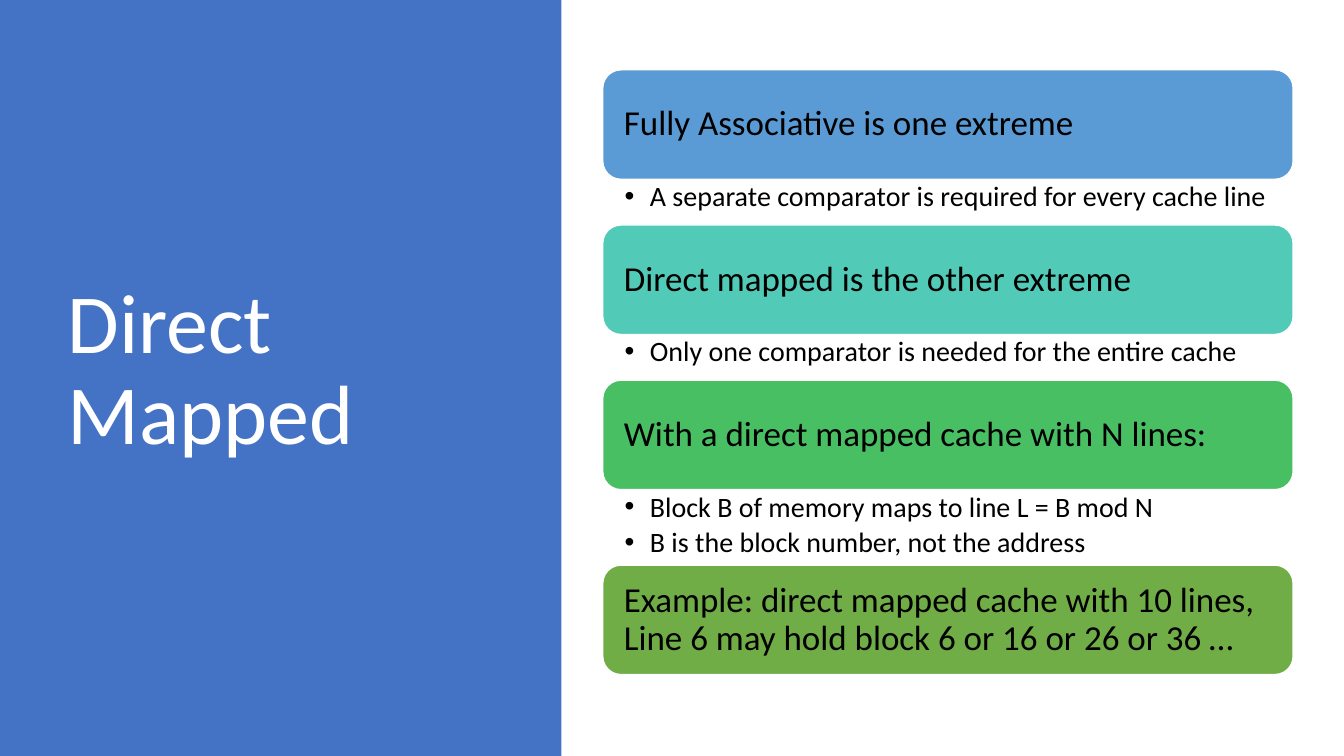
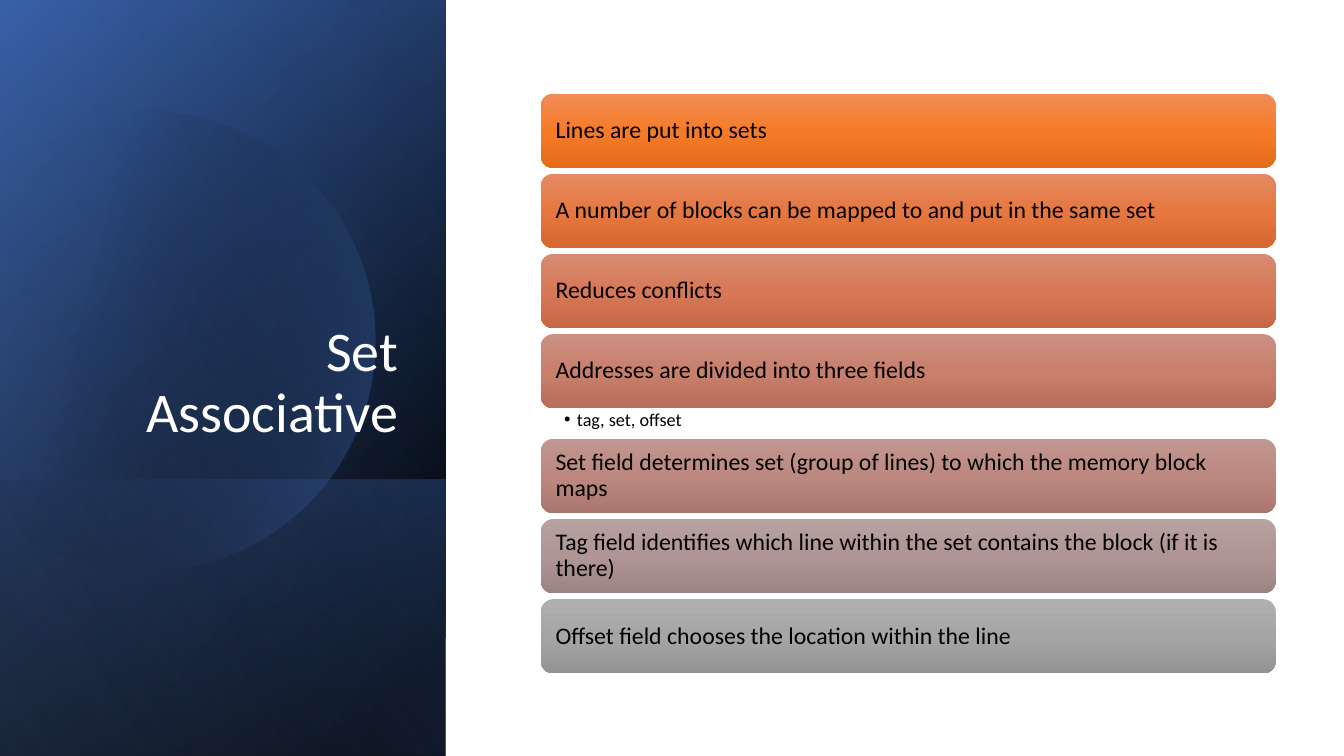
from math import acos, cos, sin
from lxml.etree import SubElement
from pptx import Presentation
from pptx.dml.color import RGBColor
from pptx.enum.shapes import MSO_SHAPE
from pptx.enum.text import MSO_ANCHOR, MSO_AUTO_SIZE, PP_ALIGN
from pptx.oxml.ns import qn
from pptx.util import Cm, Pt

FONT = "Calibri"
HEX = {
    "white": "FFFFFF", "black": "000000",
    "blue": "4472C4", "navy": "2F5597", "pale": "8FAADC",
    "sky": "5B9BD5", "teal": "52CAB8", "green": "49BF64", "leaf": "70AD47",
    # Bar ramps: top, middle, bottom
    "flame": "F18C57 F67B28 E56C19", "rust": "E38A63 E6783F D56730",
    "clay": "D78B72 D77856 C66846", "brick": "CB9082 C87F6C B76E5B",
    "rose": "C19791 BC887F AA776E", "mauve": "B7A2A0 AF9593 9D8381",
    "gray": "AFAFAF A5A5A5 939393",
}
WIDE, HIGH = 33.87, 19.05


def paint(shape, stops, angle=90, edge=None):
    """Fill with stops of (position %, hex, opacity %); one stop is solid."""
    shape.shadow.inherit = False
    if edge:
        shape.line.color.rgb = RGBColor.from_string(edge)
        shape.line.width = Pt(1)
    else:
        shape.line.fill.background()
    if len(stops) == 1:
        shape.fill.solid()
        shape.fill.fore_color.rgb = RGBColor.from_string(stops[0][1])
        return
    shape.fill.gradient()
    shape.fill.gradient_angle = 360 - angle
    ramp = shape._element.spPr.find(qn("a:gradFill")).find(qn("a:gsLst"))
    for old in list(ramp):
        ramp.remove(old)
    for pos, tone, alpha in stops:
        stop = SubElement(ramp, qn("a:gs"), pos=str(pos * 1000))
        color = SubElement(stop, qn("a:srgbClr"), val=tone)
        if alpha < 100:
            SubElement(color, qn("a:alpha"), val=str(alpha * 1000))


def write(shape, lines, size, pads, anchor, indent=0):
    """Set the lines of a box; an indent makes them bullets."""
    frame = shape.text_frame
    frame.word_wrap = True
    frame.vertical_anchor = anchor
    (frame.margin_left, frame.margin_top,
     frame.margin_right, frame.margin_bottom) = [Cm(pad) for pad in pads]
    frame.text = "\n".join(lines)
    for para in frame.paragraphs:
        if indent:
            props = para._p.get_or_add_pPr()
            props.set("marL", str(Cm(indent)))
            props.set("indent", str(-Cm(indent)))
            SubElement(props, qn("a:buFont"), typeface="Arial")
            SubElement(props, qn("a:buChar"), char="•")
            para.space_after = Pt(size / 5)
        para.alignment = PP_ALIGN.LEFT
        para.line_spacing = 0.9
        for run in para.runs:
            run.font.name = FONT
            run.font.size = Pt(size)
            run.font.color.rgb = RGBColor.from_string(HEX["black"])


deck = Presentation()
deck.slide_width, deck.slide_height = Cm(WIDE), Cm(HIGH)
direct, sets = [deck.slides.add_slide(deck.slide_layouts[5]) for _ in range(2)]

# Plain side panel
panel = direct.shapes.add_shape(MSO_SHAPE.RECTANGLE, 0, 0, Cm(14.15), Cm(HIGH))
paint(panel, [(0, HEX["blue"], 100)])

# Shaded side panel: layers turned a quarter, all standing on the bottom edge
SIDE = 11.23
layers = [
    (HIGH, 50, [(8, HEX["black"], 100), (100, HEX["navy"], 100)]),
    (HIGH, 30, [(0, HEX["black"], 0), (99, HEX["blue"], 46)]),
    (6.96, 130, [(2, HEX["blue"], 29), (100, HEX["black"], 30)]),
    (HIGH, 120, [(0, HEX["black"], 0), (99, HEX["pale"], 11)]),
]
for tall, angle, stops in layers:
    layer = sets.shapes.add_shape(
        MSO_SHAPE.RECTANGLE, Cm((SIDE - tall) / 2),
        Cm(HIGH - (tall + SIDE) / 2), Cm(tall), Cm(SIDE))
    layer.rotation = 90
    layer._element.spPr.find(qn("a:xfrm")).set("flipH", "1")
    paint(layer, stops, angle)

# Disc cut off at the left, under the last layer
mid_x, mid_y, radius, cut = 3.66, 8.59, 5.79, -0.38
reach = acos((cut - mid_x) / radius)
steps = 120
turns = [reach * (2 * i / steps - 1) for i in range(steps + 1)]
dots = [(Cm(mid_x + radius * cos(t)), Cm(mid_y + radius * sin(t))) for t in turns]
outline = sets.shapes.build_freeform(*dots[0])
outline.add_line_segments(dots[1:], close=True)
disc = outline.convert_to_shape()
paint(disc, [(29, HEX["black"], 0), (100, HEX["blue"], 43)], 14)
sets.shapes._spTree.append(layer._element)

# Titles, in front of the panels
titles = [
    (direct, "Direct Mapped", 60, (1.45, 1.73, 10.57, 15.29),
     MSO_ANCHOR.MIDDLE, PP_ALIGN.LEFT),
    (sets, "Set Associative", 40, (1.63, 4.67, 8.66, 6.65),
     MSO_ANCHOR.BOTTOM, PP_ALIGN.RIGHT),
]
for slide, text, size, place, anchor, align in titles:
    title = slide.shapes.title
    title.left, title.top, title.width, title.height = [Cm(n) for n in place]
    slide.shapes._spTree.append(title._element)
    frame = title.text_frame
    frame.text = text
    frame.auto_size = MSO_AUTO_SIZE.NONE
    frame.word_wrap = True
    frame.vertical_anchor = anchor
    para = frame.paragraphs[0]
    para.alignment, para.line_spacing = align, 0.9
    font = para.runs[0].font
    font.name, font.size = FONT, Pt(size)
    font.color.rgb = RGBColor.from_string(HEX["white"])

# Bars with their bullets: (colour, heading, bullets)
direct_rows = [
    ("sky", "Fully Associative is one extreme",
     ["A separate comparator is required for every cache line"]),
    ("teal", "Direct mapped is the other extreme",
     ["Only one comparator is needed for the entire cache"]),
    ("green", "With a direct mapped cache with N lines:",
     ["Block B of memory maps to line L = B mod N",
      "B is the block number, not the address"]),
    ("leaf", "Example: direct mapped cache with 10 lines, "
     "Line 6 may hold block 6 or 16 or 26 or 36 …", []),
]
set_rows = [
    ("flame", "Lines are put into sets", []),
    ("rust", "A number of blocks can be mapped to and put in the same set", []),
    ("clay", "Reduces conflicts", []),
    ("brick", "Addresses are divided into three fields", ["tag, set, offset"]),
    ("rose", "Set field determines set (group of lines) "
     "to which the memory block maps", []),
    ("mauve", "Tag field identifies which line within the set "
     "contains the block (if it is there)", []),
    ("gray", "Offset field chooses the location within the line", []),
]
# Per slide: left, top, width, bar height, space below by bullet count,
# text sizes, bar inset, bullet insets, bullet indent, edge
stacks = [
    (direct, direct_rows, 15.19, 1.76, 17.4, 2.76, (0, 1.15, 1.9),
     (25, 20), 0.4, (0.55, 0.08, 0.48, 0.08), 0.64, HEX["white"]),
    (sets, set_rows, 13.63, 2.36, 18.52, 1.87, (0.15, 0.77),
     (17, 13), 0.28, (0.59, 0.05, 0.33, 0.05), 0.32, None),
]
for (slide, rows, left, top, width, tall, below,
     sizes, inset, pads, indent, edge) in stacks:
    for tone, head, notes in rows:
        bar = slide.shapes.add_shape(MSO_SHAPE.ROUNDED_RECTANGLE, Cm(left),
                                     Cm(top), Cm(width), Cm(tall))
        paint(bar, [(50 * i, part, 100)
                    for i, part in enumerate(HEX[tone].split())], 90, edge)
        write(bar, [head], sizes[0], [inset] * 4, MSO_ANCHOR.MIDDLE)
        top += tall
        space = below[len(notes)]
        if notes:
            box = slide.shapes.add_textbox(Cm(left), Cm(top), Cm(width), Cm(space))
            write(box, notes, sizes[1], pads, MSO_ANCHOR.TOP, indent)
        top += space

deck.save("out.pptx")
